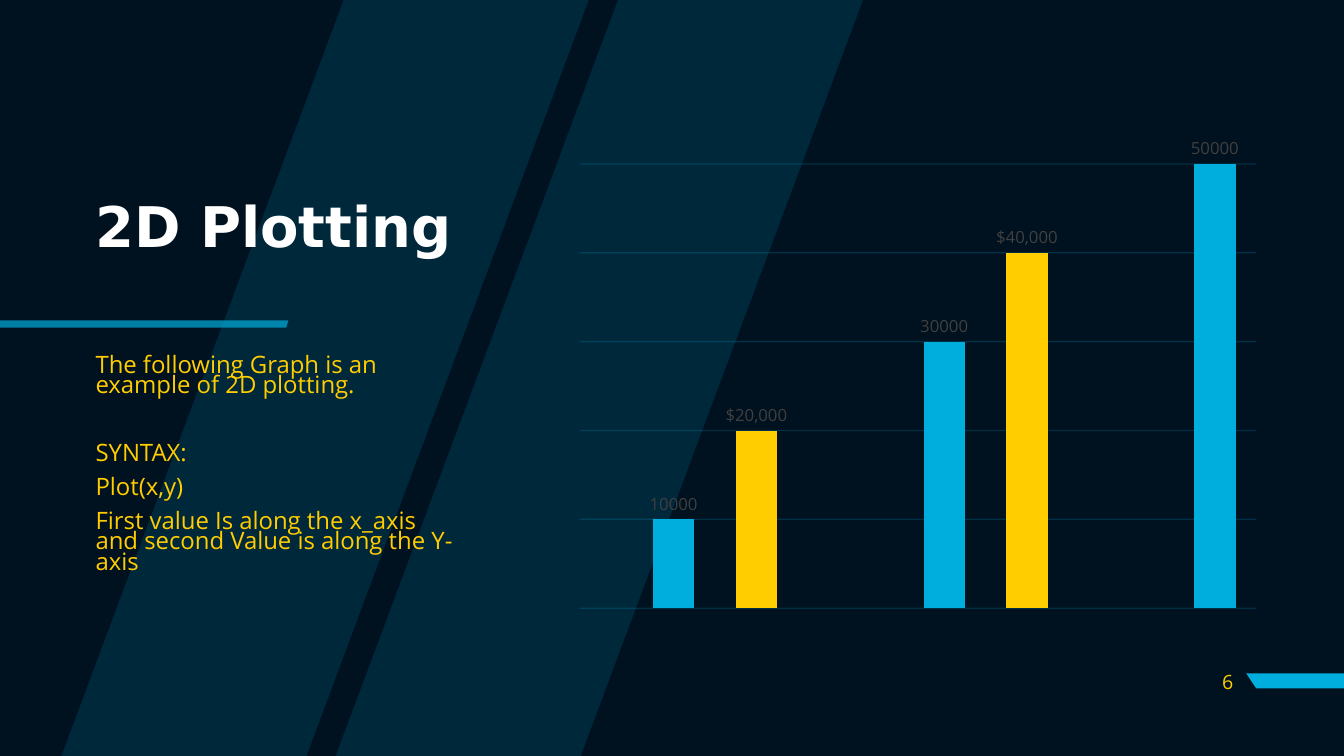
from copy import deepcopy
from dataclasses import dataclass
from typing import Any

from pptx import Presentation
from pptx.chart.data import CategoryChartData
from pptx.dml.color import RGBColor as Color
from pptx.enum.chart import XL_CHART_TYPE as ChartType, XL_LABEL_POSITION as LabelPosition
from pptx.enum.text import MSO_ANCHOR as Anchor, PP_ALIGN as Align
from pptx.oxml import parse_xml
from pptx.oxml.ns import nsdecls, qn
from pptx.util import Inches, Pt

COLORS = {
    "navy": "00111F",
    "cyan": "00AEDE",
    "yellow": "FFCD00",
    "white": "FFFFFF",
    "gray": "404040",
    "black": "000000",
}
BODY_FONT = "Open Sans"
DOLLARS = "[$$-409]#,##0"


@dataclass
class Band:
    points: list[tuple[float, float]]
    opacity: int = 100


@dataclass
class Line:
    text: str
    space_before: float = 0


@dataclass
class TextBlock:
    box: tuple[float, float, float, float]
    lines: list[Line]
    size: float
    color: str = "yellow"
    font: str = BODY_FONT
    bold: bool = False
    spacing: float = 1
    anchor: Anchor = Anchor.MIDDLE
    align: Align = Align.LEFT


@dataclass
class BarSeries:
    name: str
    values: list[int | None]
    color: str
    number_format: str


def stripe(left: float) -> Band:
    return Band([(left + 2.8, 0), (left + 5.23, 0), (left + 2.43, 7.5), (left, 7.5)], 15)


BANDS = [
    stripe(0.61),
    stripe(3.33),
    Band([(13.33, 6.68), (13.33, 6.83), (12.46, 6.83), (12.36, 6.68)]),
    Band([(0, 3.18), (0, 3.25), (2.84, 3.25), (2.86, 3.18)], 70),
]

TEXT_BLOCKS = [
    TextBlock((0.85, 1.44, 3.84, 1.67), [Line("2D Plotting")], 40, "white",
              "DejaVu Sans", bold=True, spacing=0.9),
    TextBlock((0.85, 3.5, 3.84, 2.36), [
        Line("The following Graph is an example of 2D plotting."),
        Line("SYNTAX:", 34),
        Line("Plot(x,y)", 10),
        Line("First value Is along the x_axis and second Value is along the Y-axis", 10),
    ], 17.1, spacing=0.7, anchor=Anchor.TOP),
    TextBlock((11.73, 6.56, 0.6, 0.4), [Line("6")], 14, align=Align.RIGHT),
]

BAR_SERIES = [
    BarSeries("Series 1", [None, 20000, None, 40000, None], "yellow", DOLLARS),
    BarSeries("Series 2", [10000, None, 30000, None, 50000], "cyan", "General"),
]


def rgb(name: str) -> Color:
    return Color.from_string(COLORS[name])


def set_opacity(element: Any, percent: int) -> None:
    color = next(element.iter(qn("a:srgbClr")))
    color.append(parse_xml(f'<a:alpha {nsdecls("a")} val="{percent * 1000}"/>'))


def add_band(slide: Any, band: Band) -> None:
    points = [(Inches(x), Inches(y)) for x, y in band.points]
    builder = slide.shapes.build_freeform(*points[0], scale=1.0)
    builder.add_line_segments(points[1:], close=True)
    shape = builder.convert_to_shape()
    shape.shadow.inherit = False
    shape.fill.solid()
    shape.fill.fore_color.rgb = rgb("cyan")
    shape.line.fill.background()
    if band.opacity < 100:
        set_opacity(shape.element.spPr, band.opacity)


def add_text(slide: Any, block: TextBlock) -> None:
    frame = slide.shapes.add_textbox(*map(Inches, block.box)).text_frame
    frame.word_wrap = True
    frame.vertical_anchor = block.anchor
    for index, line in enumerate(block.lines):
        paragraph = frame.add_paragraph() if index else frame.paragraphs[0]
        paragraph.text = line.text
        paragraph.alignment = block.align
        paragraph.line_spacing = block.spacing
        paragraph.space_before = Pt(line.space_before)
        paragraph.font.name = block.font
        paragraph.font.size = Pt(block.size)
        paragraph.font.bold = block.bold
        paragraph.font.color.rgb = rgb(block.color)


def set_plot_layout(plot_area: Any, x: float, y: float, width: float, height: float) -> None:
    for layout in plot_area.findall(qn("c:layout")):
        plot_area.remove(layout)
    plot_area.insert(0, parse_xml(
        f'<c:layout {nsdecls("c")}><c:manualLayout><c:layoutTarget val="inner"/>'
        '<c:xMode val="edge"/><c:yMode val="edge"/>'
        f'<c:x val="{x}"/><c:y val="{y}"/><c:w val="{width}"/><c:h val="{height}"/>'
        '</c:manualLayout></c:layout>'))


def move_last_series_to_right_axis(plot_area: Any) -> None:
    left_bars = plot_area.find(qn("c:barChart"))
    right_bars = deepcopy(left_bars)
    left_bars.remove(left_bars.findall(qn("c:ser"))[-1])
    right_bars.remove(right_bars.find(qn("c:ser")))
    left_bars.addnext(right_bars)

    category_axis = deepcopy(plot_area.find(qn("c:catAx")))
    value_axis = deepcopy(plot_area.find(qn("c:valAx")))
    value_axis.remove(value_axis.find(qn("c:majorGridlines")))
    value_axis.find(qn("c:axPos")).set("val", "r")
    value_axis.find(qn("c:crosses")).set("val", "max")
    plot_area.find(qn("c:valAx")).addnext(value_axis)
    value_axis.addnext(category_axis)

    category_id, value_id = "5001", "5002"
    for reference, axis_id in zip(right_bars.findall(qn("c:axId")), (category_id, value_id)):
        reference.set("val", axis_id)
    for axis, own_id, crossed_id in ((category_axis, category_id, value_id),
                                     (value_axis, value_id, category_id)):
        axis.find(qn("c:axId")).set("val", own_id)
        axis.find(qn("c:crossAx")).set("val", crossed_id)


def add_bar_chart(slide: Any, all_series: list[BarSeries]) -> None:
    data = CategoryChartData()
    data.categories = ["1", "2", "3", "4", "5"]
    for bars in all_series:
        data.add_series(bars.name, bars.values, bars.number_format)
    box = map(Inches, (5.61, 1.36, 6.99, 4.77))
    chart = slide.shapes.add_chart(ChartType.COLUMN_CLUSTERED, *box, data).chart
    chart.has_legend = False
    chart.has_title = False
    chart.font.name = BODY_FONT
    chart.font.size = Pt(10)
    chart.font.color.rgb = rgb("black")

    chart.category_axis.visible = False
    axis = chart.value_axis
    axis.visible = False
    axis.minimum_scale, axis.maximum_scale, axis.major_unit = 0, 50000, 10000
    axis.tick_labels.number_format = DOLLARS
    axis.tick_labels.number_format_is_linked = False
    axis.has_major_gridlines = True
    grid_line = axis.major_gridlines.format.line
    grid_line.width = Pt(1)
    grid_line.color.rgb = rgb("cyan")
    set_opacity(next(chart.element.iter(qn("c:majorGridlines"))), 20)

    plot = chart.plots[0]
    plot.vary_by_categories = False
    plot.gap_width = 100
    plot.overlap = -27
    for bars, series in zip(all_series, plot.series):
        series.format.fill.solid()
        series.format.fill.fore_color.rgb = rgb(bars.color)
        labels = series.data_labels
        labels.show_value = True
        labels.position = LabelPosition.OUTSIDE_END
        labels.number_format = bars.number_format
        labels.number_format_is_linked = False
        labels.font.name = BODY_FONT
        labels.font.size = Pt(12)
        labels.font.color.rgb = rgb("gray")
    plot_area = next(chart.element.iter(qn("c:plotArea")))
    set_plot_layout(plot_area, 0.02, 0.05, 0.96, 0.93)
    move_last_series_to_right_axis(plot_area)


def main() -> None:
    presentation = Presentation()
    presentation.slide_width, presentation.slide_height = Inches(13.33), Inches(7.5)
    slide = presentation.slides.add_slide(presentation.slide_layouts[6])
    slide.background.fill.solid()
    slide.background.fill.fore_color.rgb = rgb("navy")
    for band in BANDS:
        add_band(slide, band)
    for block in TEXT_BLOCKS:
        add_text(slide, block)
    add_bar_chart(slide, BAR_SERIES)
    presentation.save("out.pptx")


if __name__ == "__main__":
    main()
